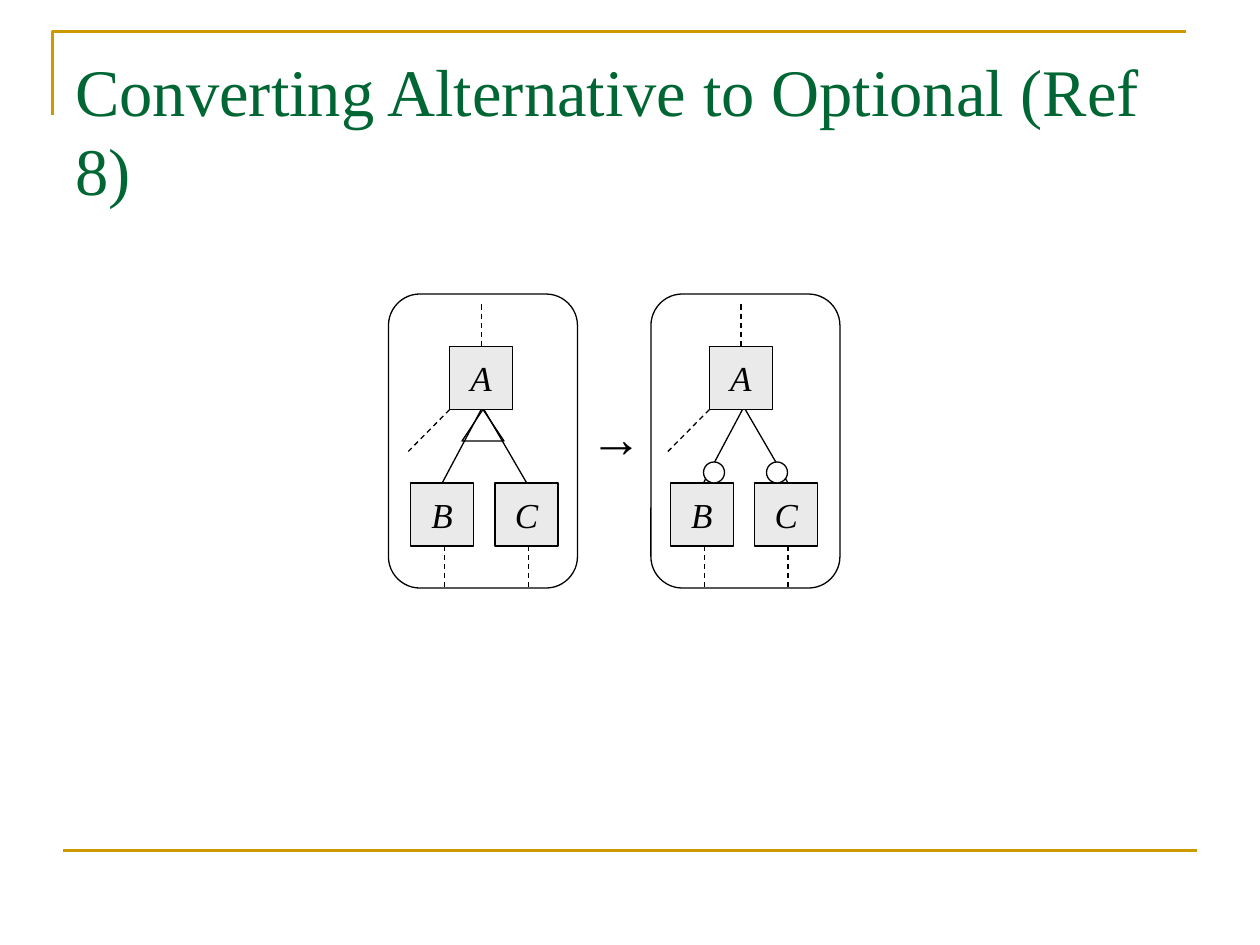
from dataclasses import dataclass

from lxml.etree import SubElement
from pptx import Presentation
from pptx.dml.color import RGBColor
from pptx.enum.dml import MSO_LINE
from pptx.enum.shapes import MSO_CONNECTOR, MSO_SHAPE
from pptx.enum.text import MSO_ANCHOR, PP_ALIGN
from pptx.oxml.ns import qn
from pptx.util import Pt


@dataclass(frozen=True)
class Theme:
    ink: str = "000000"
    paper: str = "FFFFFF"
    box: str = "EAEAEA"
    gold: str = "CC9900"
    green: str = "006633"
    serif: str = "Times New Roman"
    mono: str = "Courier New"
    head: float = 38
    sign: float = 30
    node: float = 20
    thin: float = 0.75
    rule: float = 1.5


class Board:
    """Draws feature diagrams on one slide in a shared style."""

    def __init__(self, slide, theme):
        self.shapes = slide.shapes
        self.theme = theme

    def style(self, line, color, width):
        line.color.rgb = RGBColor.from_string(color)
        line.width = Pt(width)

    def label(self, shape, text, size, face, color, italic=False, **form):
        frame = shape.text_frame
        para = frame.paragraphs[0]
        run = para.add_run()
        run.text = text
        font = {"size": Pt(size), "name": face, "italic": italic}
        for key, value in font.items():
            setattr(run.font, key, value)
        run.font.color.rgb = RGBColor.from_string(color)
        for key, value in form.items():
            setattr(frame, key, value)
        return para

    def shape(self, kind, x, y, w, h, fill=None):
        item = self.shapes.add_shape(kind, Pt(x), Pt(y), Pt(w), Pt(h))
        item.shadow.inherit = False
        if fill:
            item.fill.solid()
            item.fill.fore_color.rgb = RGBColor.from_string(fill)
        else:
            item.fill.background()
        self.style(item.line, self.theme.ink, self.theme.thin)
        return item

    def node(self, name, x, y):
        t = self.theme
        item = self.shape(MSO_SHAPE.RECTANGLE, x, y, 36, 36, t.box)
        para = self.label(item, name, t.node, t.serif, t.ink, True,
                          word_wrap=False, vertical_anchor=MSO_ANCHOR.MIDDLE)
        para.alignment = PP_ALIGN.CENTER

    def line(self, x1, y1, x2, y2, dash=False):
        item = self.shapes.add_connector(
            MSO_CONNECTOR.STRAIGHT, Pt(x1), Pt(y1), Pt(x2), Pt(y2))
        SubElement(item._element.spPr, qn("a:effectLst"))
        self.style(item.line, self.theme.ink, self.theme.thin)
        if dash:
            item.line.dash_style = MSO_LINE.DASH
        return item

    def rule(self, *ends):
        self.style(self.line(*ends).line, self.theme.gold, self.theme.rule)

    def corner(self, x, y, w, h):
        pen = self.shapes.build_freeform(Pt(x), Pt(y + h))
        pen.add_line_segments([(Pt(x), Pt(y)), (Pt(x + w), Pt(y))], close=False)
        item = pen.convert_to_shape()
        item.shadow.inherit = False
        item.fill.background()
        self.style(item.line, self.theme.gold, self.theme.rule)

    def text(self, words, x, y, w, h, size, face, color, **form):
        item = self.shapes.add_textbox(Pt(x), Pt(y), Pt(w), Pt(h))
        return self.label(item, words, size, face, color, **form)

    def frame(self, x):
        item = self.shape(MSO_SHAPE.ROUNDED_RECTANGLE, x, 168, 108, 168)
        item.adjustments[0] = 1 / 6

    def tree(self, x, shift):
        for name, dx, y in (("A", 22.3, 198), ("B", 0, 276), ("C", 48.2, 276)):
            self.node(name, x + dx, y)
        for x1, y1, x2, y2 in ((40.3, 174, 40.3, 198), (22.3, 234, -1.4, 258),
                               (19.4, 312, 19.4, 336), (67.2, 312, 67.2, 336)):
            self.line(x + x1, y1, x + x2, y2, dash=True)
        for top, foot in ((40.3, 18), (41.9, 66.3)):
            self.line(x + top + shift, 234, x + foot + shift, 276)


def main():
    theme = Theme()
    deck = Presentation()
    deck.slide_width, deck.slide_height = Pt(720), Pt(540)
    board = Board(deck.slides.add_slide(deck.slide_layouts[6]), theme)

    board.corner(30, 18, 648, 48)
    board.rule(36, 486, 684, 486)
    title = board.text("Converting Alternative to Optional (Ref 8)",
                       36, 21.6, 648, 90, theme.head, theme.serif, theme.green,
                       word_wrap=True, margin_top=Pt(6.6))
    title.line_spacing = Pt(45.7)

    board.shape(MSO_SHAPE.ISOSCELES_TRIANGLE, 264, 234, 24, 18, theme.paper)
    for left, root, shift in ((222, 234.7, 0), (372, 383.1, 0.9)):
        board.tree(root, shift)
        board.frame(left)
    for x in (402, 438):
        board.shape(MSO_SHAPE.OVAL, x, 264, 12, 12, theme.paper)
    board.text("→", 336, 228, 32.4, 43.2, theme.sign, theme.mono, theme.ink,
               word_wrap=False)

    deck.save("out.pptx")


if __name__ == "__main__":
    main()
